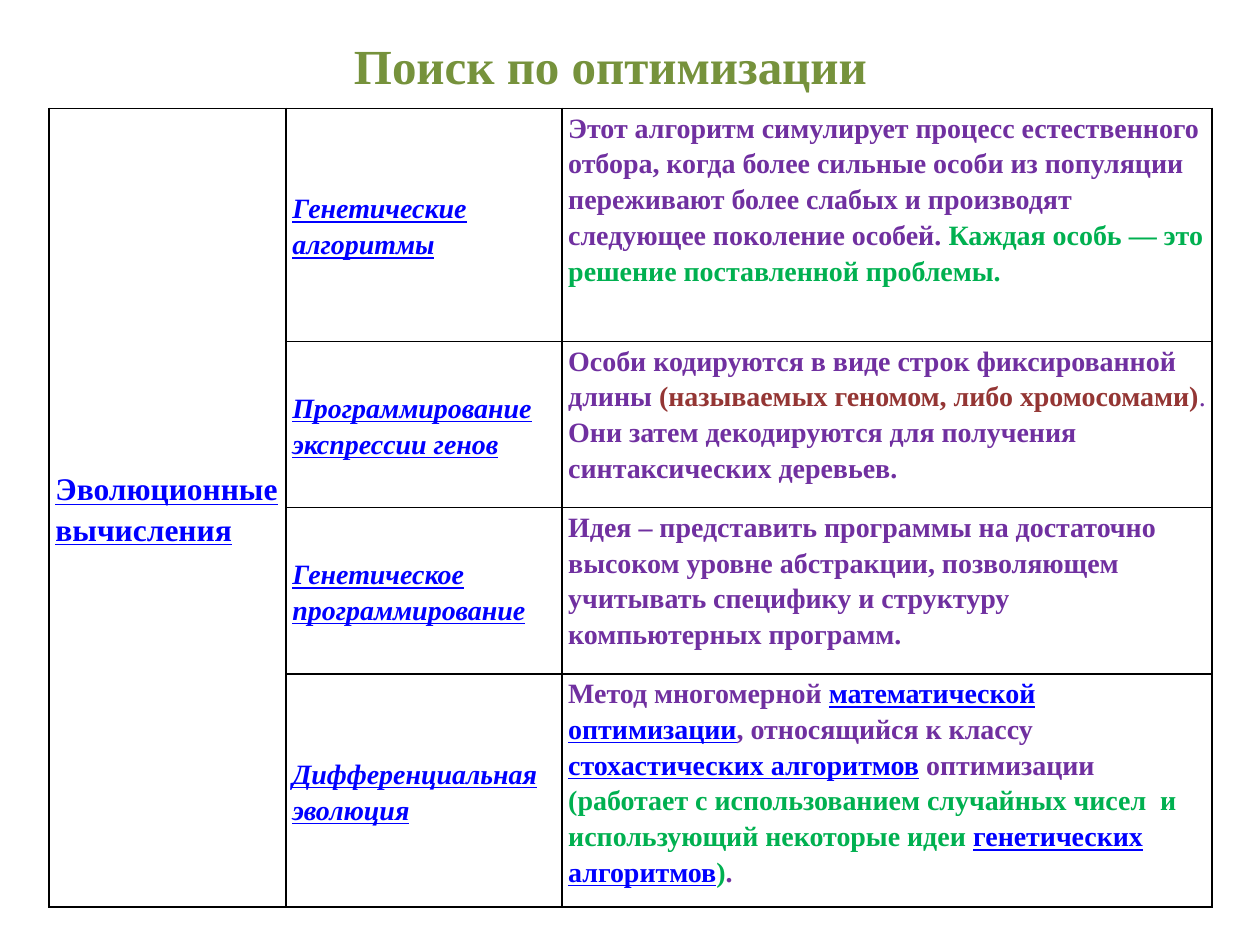
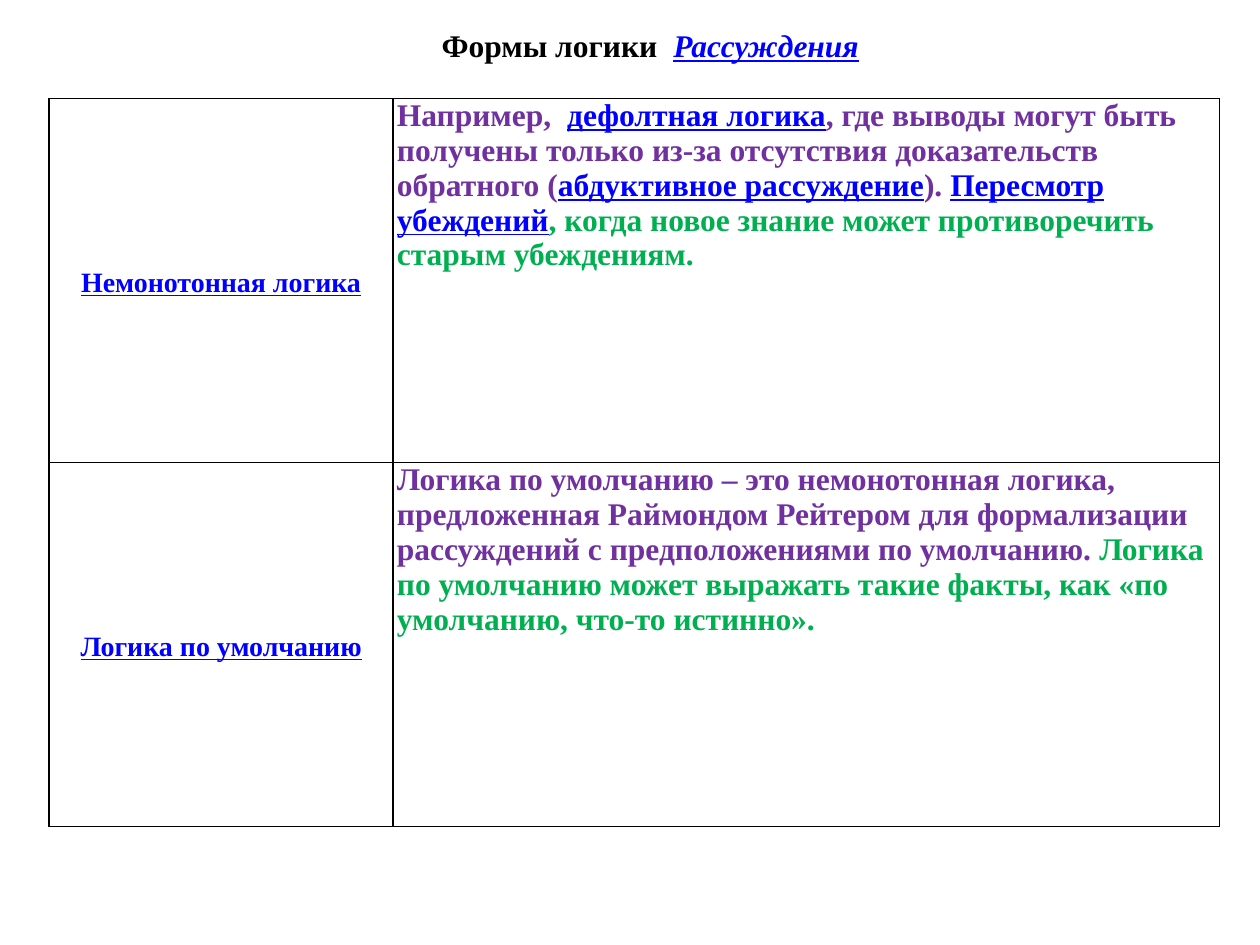
from dataclasses import dataclass
from typing import NamedTuple

from lxml import etree
from pptx import Presentation
from pptx.dml.color import RGBColor
from pptx.enum import text
from pptx.oxml import ns
from pptx.util import Emu, Pt

PX = 9144  # 100 px to the inch


# Theme
@dataclass(frozen=True)
class Theme:
    font: str = "Times New Roman"
    olive: str = "76923C"
    black: str = "000000"
    blue: str = "0000FF"
    purple: str = "7030A0"
    green: str = "00B050"
    brown: str = "943634"
    title: int = 28
    large: int = 18
    normal: int = 16
    border: int = 1
    loose: float = 1.15
    gap: int = 10


THEME = Theme()


class Span(NamedTuple):
    text: str
    color: str = THEME.purple
    bold: bool = True
    italic: bool = False
    underline: bool = False


class Entry(NamedTuple):
    """Text of one table cell."""
    spans: list[Span]
    size: int = THEME.normal
    middle: bool = False
    centred: bool = False
    spacing: float | None = THEME.loose
    after: int = THEME.gap


class Grid(NamedTuple):
    left: int
    top: int
    columns: list[int]
    rows: list[int]
    inset: int
    entries: list[list[Entry | None]]  # None continues the cell above


class Heading(NamedTuple):
    left: int
    top: int
    width: int
    height: int
    spans: list[Span]
    size: int
    spacing: float | None = None


def link(words: str, italic: bool = False) -> Span:
    return Span(words, THEME.blue, italic=italic, underline=True)


def green(words: str) -> Span:
    return Span(words, THEME.green)


def px(length: int) -> Emu:
    return Emu(length * PX)


# Drawing
def add_span(para, words: str, *, size: int, color: str, bold: bool,
             italic: bool, underline: bool) -> None:
    span = para.add_run()
    span.text = words
    font = span.font
    font.name, font.size = THEME.font, Pt(size)
    font.bold, font.italic, font.underline = bold, italic, underline
    font.color.rgb = RGBColor.from_string(color)


def fill_paragraph(para, spans: list[Span], *, size: int, centred: bool,
                   spacing: float | None = None, after: int = 0) -> None:
    para.alignment = text.PP_ALIGN.CENTER if centred else text.PP_ALIGN.LEFT
    para.line_spacing = spacing
    para.space_after = Pt(after)
    for item in spans:
        add_span(para, item.text, size=size, color=item.color, bold=item.bold,
                 italic=item.italic, underline=item.underline)


def draw_borders(cell) -> None:
    properties = cell._tc.get_or_add_tcPr()
    for side in ("L", "R", "T", "B"):
        line = etree.SubElement(properties, ns.qn(f"a:ln{side}"), w=str(Pt(THEME.border)))
        fill = etree.SubElement(line, ns.qn("a:solidFill"))
        etree.SubElement(fill, ns.qn("a:srgbClr"), val=THEME.black)


def add_heading(page, heading: Heading) -> None:
    box = page.shapes.add_textbox(px(heading.left), px(heading.top),
                                  px(heading.width), px(heading.height))
    frame = box.text_frame
    frame.word_wrap = True
    frame.auto_size = text.MSO_AUTO_SIZE.SHAPE_TO_FIT_TEXT
    fill_paragraph(frame.paragraphs[0], heading.spans, size=heading.size,
                   centred=True, spacing=heading.spacing)


def add_grid(page, grid: Grid) -> None:
    table = page.shapes.add_table(
        len(grid.rows), len(grid.columns), px(grid.left), px(grid.top),
        px(sum(grid.columns)), px(sum(grid.rows))).table
    table.first_row = table.horz_banding = False
    for column, width in zip(table.columns, grid.columns):
        column.width = px(width)
    for row, height in zip(table.rows, grid.rows):
        row.height = px(height)
    for r, entries in enumerate(grid.entries):
        for c, entry in enumerate(entries):
            cell = table.cell(r, c)
            draw_borders(cell)
            cell.fill.background()
            cell.margin_left = cell.margin_right = px(grid.inset)
            cell.margin_top = cell.margin_bottom = 0
            if entry is None:
                continue
            cell.vertical_anchor = (text.MSO_ANCHOR.MIDDLE if entry.middle
                                    else text.MSO_ANCHOR.TOP)
            fill_paragraph(cell.text_frame.paragraphs[0], entry.spans,
                           size=entry.size, centred=entry.centred,
                           spacing=entry.spacing, after=entry.after)
    # Merge each first-column cell with the empty entries below it
    last = len(grid.rows) - 1
    if last and all(entries[0] is None for entries in grid.entries[1:]):
        table.cell(0, 0).merge(table.cell(last, 0))


# Slide 1: optimisation search
def method(name: str) -> Entry:
    return Entry([link(name, italic=True)], middle=True)


OPTIMISATION_TITLE = Heading(78, 16, 813, 61, [Span("Поиск по оптимизации", THEME.olive)],
                             THEME.title, THEME.loose)
OPTIMISATION = Grid(39, 86, [188, 219, 516], [185, 132, 132, 185], 5, [
    [Entry([link("Эволюционные вычисления")], THEME.large, middle=True),
     method("Генетические алгоритмы"),
     Entry([Span("Этот алгоритм симулирует процесс естественного отбора, когда более "
                 "сильные особи из популяции переживают более слабых и производят "
                 "следующее поколение особей. "),
            green("Каждая особь — это решение поставленной проблемы.")])],
    [None, method("Программирование экспрессии генов"),
     Entry([Span("Особи кодируются в виде строк фиксированной длины "),
            Span("(называемых геномом, либо хромосомами)", THEME.brown),
            Span(". ", bold=False),
            Span("Они затем декодируются для получения синтаксических деревьев.")])],
    [None, method("Генетическое программирование"),
     Entry([Span("Идея – представить программы на достаточно высоком уровне абстракции, "
                 "позволяющем учитывать специфику и структуру компьютерных программ.")])],
    [None, method("Дифференциальная эволюция"),
     Entry([Span("Метод многомерной "), link("математической оптимизации"),
            Span(", относящийся к классу "), link("стохастических алгоритмов"),
            Span(" оптимизации "),
            green("(работает с использованием случайных чисел  и использующий "
                  "некоторые идеи "),
            link("генетических алгоритмов"), green(")"), Span(".")])],
])


# Slide 2: forms of logic
def logic(name: str) -> Entry:
    return Entry([link(name)], middle=True, centred=True)


def account(*spans: Span) -> Entry:
    return Entry(list(spans), THEME.large, spacing=None, after=0)


LOGIC_TITLE = Heading(55, 16, 922, 40, [Span("Формы логики  ", THEME.black),
                                        link("Рассуждения", italic=True)], THEME.large)
LOGIC = Grid(39, 78, [273, 656], [289] * 2, 3, [
    [logic("Немонотонная логика"),
     account(Span("Например,  "), link("дефолтная логика"),
             Span(", где выводы могут быть получены только из-за отсутствия "
                  "доказательств обратного ("),
             link("абдуктивное рассуждение"), Span("). "), link("Пересмотр убеждений"),
             green(", когда новое знание может противоречить старым убеждениям."))],
    [logic("Логика по умолчанию"),
     account(Span("Логика по умолчанию – это немонотонная логика, предложенная "
                  "Раймондом Рейтером для формализации рассуждений с "
                  "предположениями по умолчанию. "),
             green("Логика по умолчанию может выражать такие факты, как "
                   "«по умолчанию, что-то истинно»."))],
])


def main() -> None:
    deck = Presentation()
    deck.slide_width, deck.slide_height = px(1000), px(750)
    for heading, grid in ((OPTIMISATION_TITLE, OPTIMISATION), (LOGIC_TITLE, LOGIC)):
        page = deck.slides.add_slide(deck.slide_layouts[6])
        add_grid(page, grid)
        add_heading(page, heading)
    deck.save("out.pptx")


if __name__ == "__main__":
    main()
